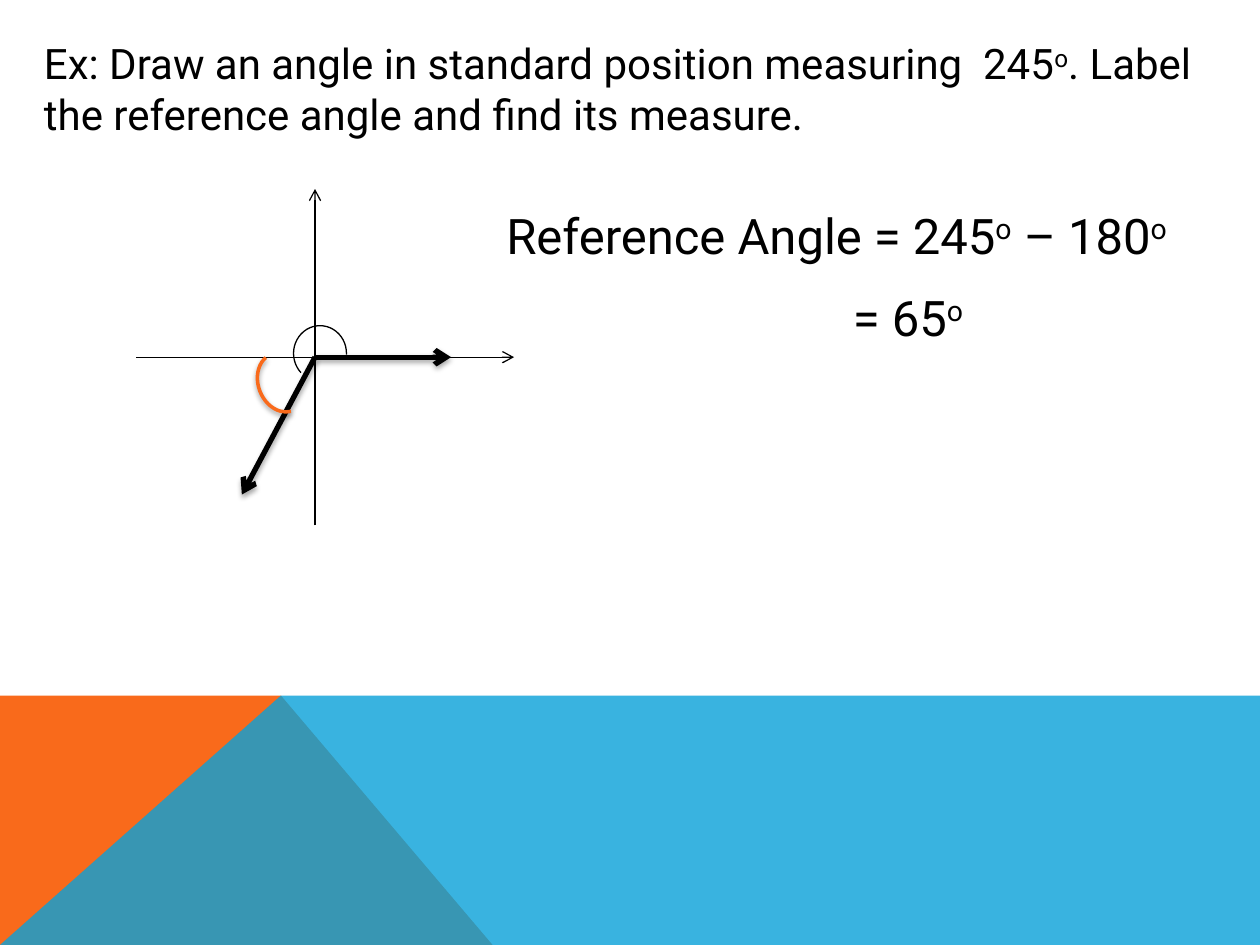
from lxml import etree
from pptx import Presentation
from pptx import util as u
from pptx.dml.color import RGBColor
from pptx.enum import shapes as kinds
from pptx.oxml.ns import qn

BLACK, ORANGE, BLUE = "000000", "F96A1B", "08A1D9"
FONT = "Roboto"


def rgb(hex_color):
    return RGBColor.from_string(hex_color)


def set_effects(part, shadow=None):
    """Replace the theme shadow by nothing, or by (alpha %, blur, distance) in points."""
    effects = etree.SubElement(part._element.spPr, qn("a:effectLst"))
    if shadow:
        alpha, blur, distance = shadow
        outer = etree.SubElement(effects, qn("a:outerShdw"), blurRad=str(u.Pt(blur)),
                                 dist=str(u.Pt(distance)), dir="5400000", rotWithShape="0")
        color = etree.SubElement(outer, qn("a:srgbClr"), val=BLACK)
        etree.SubElement(color, qn("a:alpha"), val=str(alpha * 1000))


def add_arrow(slide, start, end, width, shadow=None):
    arrow = slide.shapes.add_connector(
        kinds.MSO_CONNECTOR.STRAIGHT, *(u.Inches(v) for v in (*start, *end)))
    arrow.line.color.rgb = rgb(BLACK)
    arrow.line.width = u.Pt(width)
    etree.SubElement(arrow.line._get_or_add_ln(), qn("a:tailEnd"), type="arrow")
    set_effects(arrow, shadow)


def add_arc(slide, box, angles, color, width, rotation=0, shadow=None):
    arc = slide.shapes.add_shape(kinds.MSO_SHAPE.ARC, *(u.Inches(v) for v in box))
    for i, degrees in enumerate(angles):
        arc.adjustments[i] = degrees * 0.6  # 60000 units per degree, over 100000
    arc.rotation = rotation
    arc.fill.background()
    arc.line.color.rgb = rgb(color)
    arc.line.width = u.Pt(width)
    set_effects(arc, shadow)


def add_polygon(slide, points, color, alpha=100):
    corners = [(u.Inches(x), u.Inches(y)) for x, y in points]
    builder = slide.shapes.build_freeform(*corners[0], scale=1.0)
    builder.add_line_segments(corners[1:], close=True)
    polygon = builder.convert_to_shape()
    polygon.fill.solid()
    polygon.fill.fore_color.rgb = rgb(color)
    polygon.line.fill.background()
    set_effects(polygon)
    if alpha < 100:
        fill_color = polygon._element.spPr.find(".//" + qn("a:srgbClr"))
        etree.SubElement(fill_color, qn("a:alpha"), val=str(alpha * 1000))


def add_degrees_text(slide, box, pieces, size):
    """Write the pieces in one paragraph; each "o" piece is a raised degree sign."""
    frame = slide.shapes.add_textbox(*(u.Inches(v) for v in box)).text_frame
    frame.word_wrap = True
    for piece in pieces:
        run = frame.paragraphs[0].add_run()
        run.text = piece
        run.font.name = FONT
        run.font.size = u.Pt(size)
        run.font.color.rgb = rgb(BLACK)
        if piece == "o":
            run._r.get_or_add_rPr().set("baseline", "30000")


def add_footer_band(slide, left, top, width, height):
    right, bottom = left + width, top + height
    peak = (left + 2.23, top)
    add_polygon(slide, [(left, bottom), (left, top), peak, (left + 3.91, bottom)], ORANGE)
    add_polygon(slide, [(left, bottom), peak, (right, top), (right, bottom)], BLUE, alpha=80)


def add_angle_diagram(slide, left, top, width, height):
    origin_x, origin_y = left + 1.42, top + height / 2
    origin = (origin_x, origin_y)
    # Axes
    add_arrow(slide, (left, origin_y), (left + width, origin_y), 0.75)
    add_arrow(slide, (origin_x, top + height), (origin_x, top), 0.75)
    # Initial and terminal sides
    for dx, dy in ((1.08, 0), (-0.58, 1.09)):
        add_arrow(slide, origin, (origin_x + dx, origin_y + dy), 3, shadow=(35, 3.1, 1.8))
    # Angle arc and reference angle arc
    add_arc(slide, (origin_x - 0.17, origin_y - 0.25, 0.42, 0.44),
            (134.65, 2.6), BLACK, 0.75)
    add_arc(slide, (origin_x - 0.5, origin_y + 0.01, 0.48, 0.38),
            (184.06, 347.57), ORANGE, 2, rotation=249.1, shadow=(38, 3.1, 1.6))


def add_solution(slide, left, top):
    add_degrees_text(slide, (left, top, 5.58, 0.57),
                     ["Reference Angle = 245", "o", " – 180", "o"], 28)
    add_degrees_text(slide, (left + 2.75, top + 0.65, 1.5, 0.57), ["= 65", "o"], 28)


def main():
    deck = Presentation()
    deck.slide_width, deck.slide_height = u.Inches(10), u.Inches(7.5)
    slide = deck.slides.add_slide(deck.slide_layouts[6])
    add_footer_band(slide, 0, 5.52, 10, 1.98)
    add_degrees_text(slide, (0.25, 0.25, 9.42, 0.91),
                     ["Ex: Draw an angle in standard position measuring  245", "o",
                      ". Label the reference angle and find its measure."], 24)
    add_angle_diagram(slide, 1.08, 1.5, 3, 2.67)
    add_solution(slide, 3.92, 1.58)
    deck.save("out.pptx")


if __name__ == "__main__":
    main()
